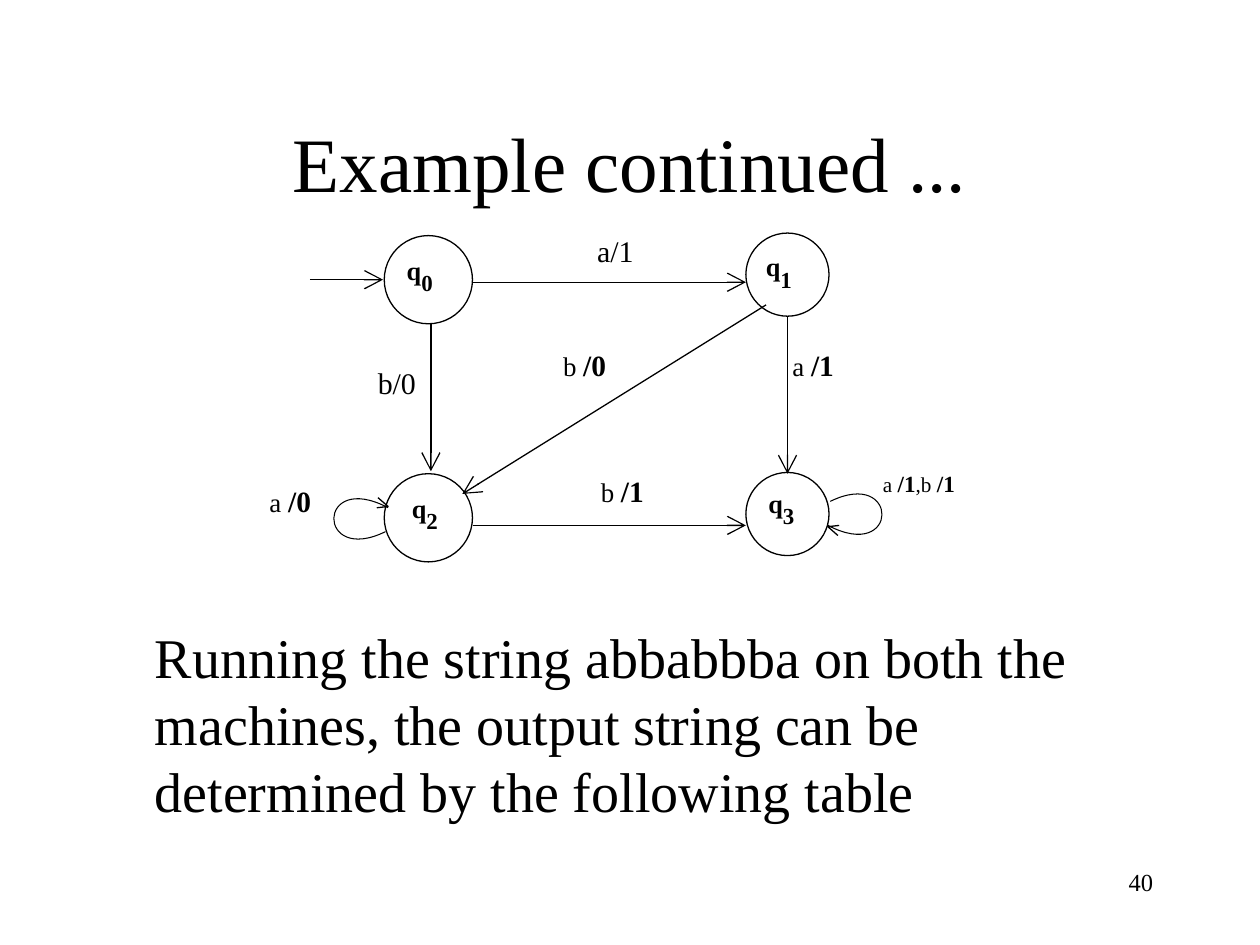
from dataclasses import dataclass

from lxml import etree
from pptx import Presentation
from pptx.dml.color import RGBColor
from pptx.enum import shapes, text
from pptx.oxml.ns import qn
from pptx.util import Inches, Pt


@dataclass(frozen=True)
class Theme:
    font: str = "Times New Roman"
    ink: RGBColor = RGBColor(0, 0, 0)
    paper: RGBColor = RGBColor(255, 255, 255)
    line: float = 0.75
    title: float = 44
    body: float = 32
    number: float = 14
    state: float = 15
    subscript: float = 22.5
    plain: float = 17.1
    symbol: float = 15.4
    output: float = 16.8
    small_symbol: float = 12.1
    small_output: float = 13.2


theme = Theme()
prs = Presentation()
prs.slide_width, prs.slide_height = Inches(10), Inches(7.5)
s = prs.slides.add_slide(prs.slide_layouts[6])


def add_text(box, parts, align=text.PP_ALIGN.LEFT, spacing=None,
             anchor=text.MSO_ANCHOR.TOP):
    """Add a text box; each part is (wording, size, bold)."""
    tf = s.shapes.add_textbox(*map(Inches, box)).text_frame
    tf.word_wrap = True
    tf.vertical_anchor = anchor
    p = tf.paragraphs[0]
    p.alignment = align
    p.line_spacing = spacing
    for wording, size, bold in parts:
        r = p.add_run()
        r.text = wording
        r.font.name, r.font.size, r.font.bold = theme.font, Pt(size), bold
        r.font.color.rgb = theme.ink
    return p


def add_path(points, width=theme.line):
    """Draw an open, unfilled outline through points given in inches."""
    start, *rest = [(Inches(x), Inches(y)) for x, y in points]
    pen = s.shapes.build_freeform(*start)
    pen.add_line_segments(rest, close=False)
    sp = pen.convert_to_shape()
    sp.shadow.inherit = False
    sp.fill.background()
    sp.line.color.rgb, sp.line.width = theme.ink, Pt(width)
    return sp


add_text((0.75, 0.66, 8.5, 1.25), [("Example continued ...", theme.title, False)],
         text.PP_ALIGN.CENTER, anchor=text.MSO_ANCHOR.MIDDLE)
add_text((1.13, 4.89, 8.12, 1.75),
         [("Running the string abbabbba on both the machines, the output string "
           "can be determined by the following table", theme.body, False)])
add_text((7.17, 6.83, 2.08, 0.5), [("40", theme.number, False)],
         text.PP_ALIGN.RIGHT)

# States: circle left, top, diameter, then label left, top
states = [
    (3.05, 1.87, 0.70, 3.13, 1.89),
    (5.92, 1.85, 0.66, 5.98, 1.86),
    (3.05, 3.76, 0.70, 3.17, 3.78),
    (5.92, 3.75, 0.66, 6.00, 3.74),
]
for index, (left, top, size, label_left, label_top) in enumerate(states):
    sp = s.shapes.add_shape(shapes.MSO_SHAPE.OVAL, Inches(left), Inches(top),
                            Inches(size), Inches(size))
    sp.shadow.inherit = False
    sp.fill.solid()
    sp.fill.fore_color.rgb = theme.paper
    sp.line.color.rgb, sp.line.width = theme.ink, Pt(theme.line)
    p = add_text((label_left, label_top, 0.96, 0.45),
                 [("q", theme.state, True), (str(index), theme.subscript, True)],
                 spacing=0.8)
    p.runs[1].font._element.set("baseline", "-30000")

# Transitions, each pointing at its last point
arrows = [
    (2.46, 2.22, 3.04, 2.22),
    (3.75, 2.24, 5.92, 2.24),
    (3.42, 2.57, 3.42, 3.74),
    (6.25, 2.51, 6.25, 3.76),
    (6.08, 2.42, 3.67, 3.92),
    (3.75, 4.17, 5.92, 4.17),
]
for ends in arrows:
    arrow = s.shapes.add_connector(shapes.MSO_CONNECTOR.STRAIGHT,
                                   *map(Inches, ends))
    arrow.line.color.rgb, arrow.line.width = theme.ink, Pt(theme.line)
    etree.SubElement(arrow.line._get_or_add_ln(), qn("a:tailEnd"),
                     type="arrow", w="lg", len="lg")
    etree.SubElement(arrow._element.spPr, qn("a:effectLst"))

# Self-loops: start, two curve controls and end, then the arrowhead
loops = [
    ([(3.06, 4.22), (2.51, 4.49), (2.51, 3.73), (3.08, 4.03)],
     [(3.00, 3.95), (3.08, 4.02), (2.99, 4.03)]),
    ([(6.59, 3.98), (7.14, 3.71), (7.14, 4.47), (6.57, 4.17)],
     [(6.65, 4.25), (6.57, 4.18), (6.66, 4.17)]),
]
for curve, head in loops:
    sp = add_path(curve, 0.6)
    segments = list(sp._element.iter(qn("a:lnTo")))
    bezier = etree.SubElement(segments[0].getparent(), qn("a:cubicBezTo"))
    for segment in segments:
        bezier.append(segment[0])
        segment.getparent().remove(segment)
    add_path(head)

# Transition labels: left, top, input symbol, output
for left, top, wording in [(4.64, 1.85, "a/1"), (2.90, 2.90, "b/0")]:
    add_text((left, top, 1.01, 0.41), [(wording, theme.plain, False)], spacing=0.8)
labels = [
    (4.37, 2.76, "b ", "/0"),
    (6.19, 2.76, "a ", "/1"),
    (4.67, 3.76, "b ", "/1"),
    (2.04, 3.84, "a ", "/0"),
]
for left, top, symbol, output in labels:
    add_text((left, top, 1.01, 0.41),
             [(symbol, theme.symbol, False), (output, theme.output, True)],
             spacing=0.8)
add_text((6.91, 3.72, 1.4, 0.33),
         [("a ", theme.small_symbol, False), ("/1", theme.small_output, True),
          (",b ", theme.small_symbol, False), ("/1", theme.small_output, True)],
         spacing=0.8)

prs.save("out.pptx")
